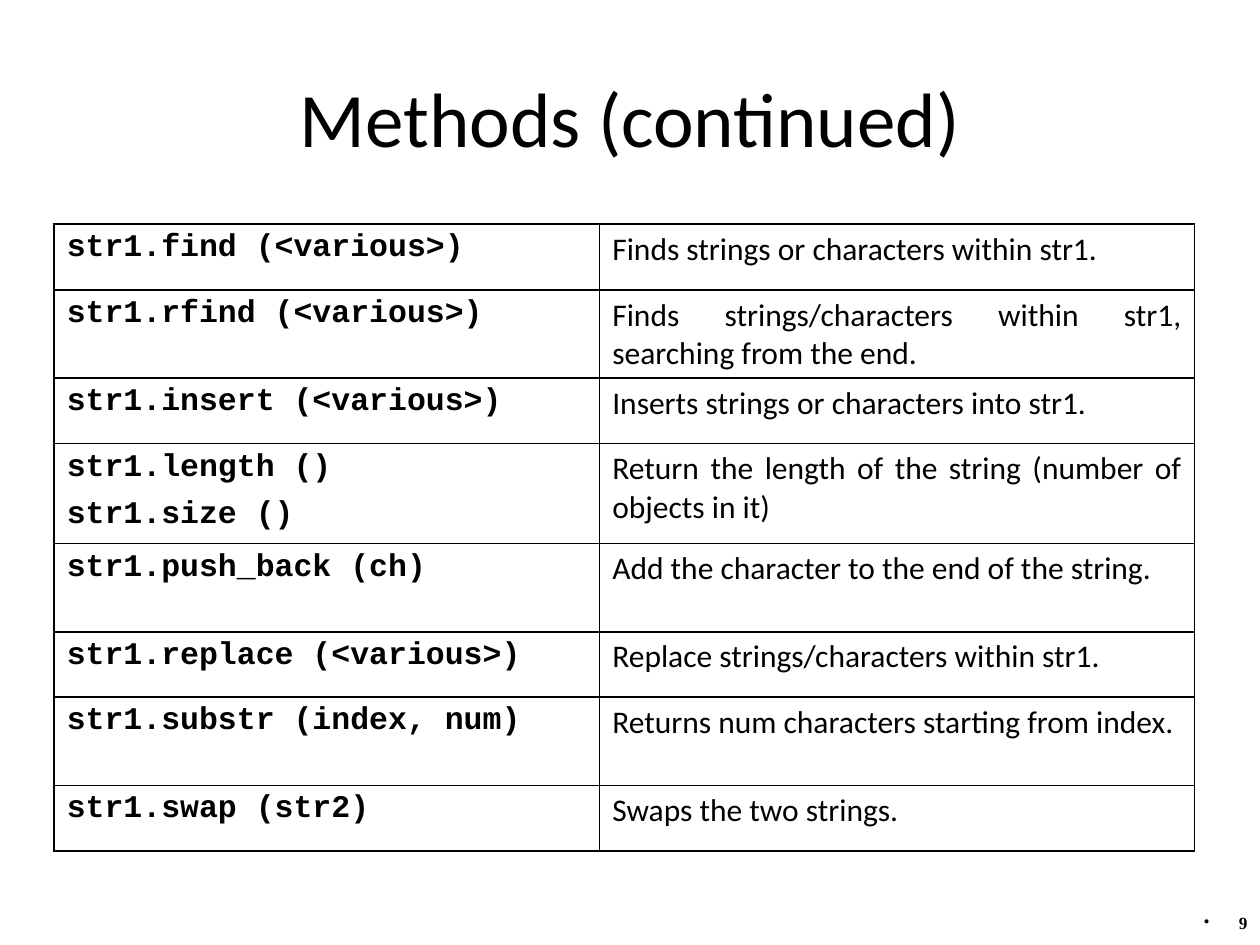
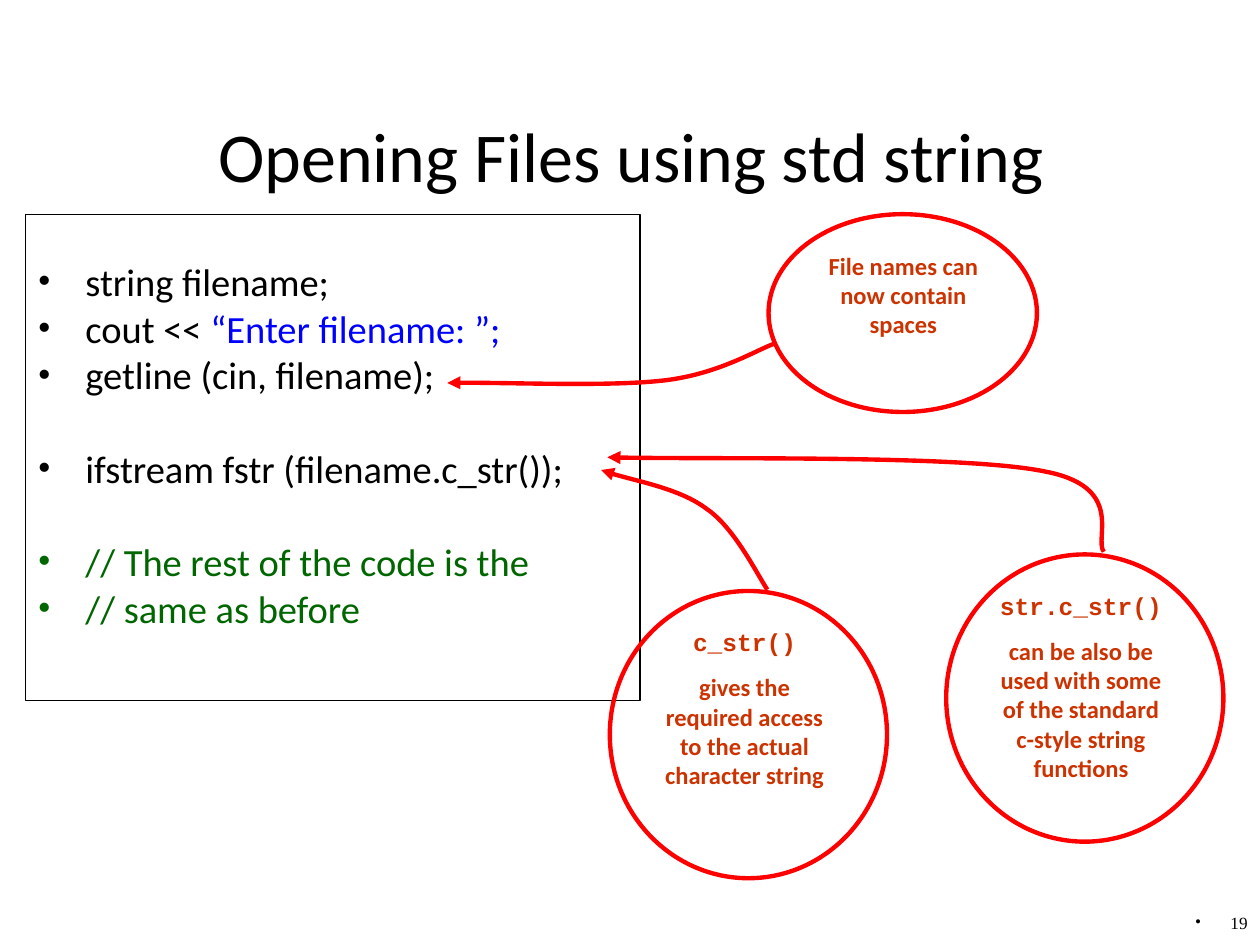
"""Build two slides on string methods and opening files."""
from dataclasses import dataclass

from lxml.etree import SubElement
from pptx import Presentation
from pptx.dml.color import RGBColor
from pptx.enum.shapes import MSO_SHAPE
from pptx.enum.text import MSO_ANCHOR, PP_ALIGN
from pptx.oxml.ns import qn
from pptx.util import Inches, Pt


@dataclass(frozen=True)
class Theme:
    """Colours, fonts and type sizes."""
    ink: str = "000000"
    blue: str = "0000FF"
    green: str = "006600"
    rust: str = "CC3300"
    red: str = "FF0000"
    sans: str = "Calibri"
    mono: str = "Courier New"
    serif: str = "Times New Roman"
    cell: float = 18
    code: float = 22
    note: float = 14
    foot: float = 9.8
    thin: float = 0.45
    rule: float = 1.08
    edge: float = 0.75
    bold: float = 2.5


T = Theme()

METHODS = [
    (["str1.find (<various>)"], "Finds strings or characters within str1.", 0.52),
    (["str1.rfind (<various>)"],
     "Finds strings/characters within str1, searching from the end.", 0.7),
    (["str1.insert (<various>)"], "Inserts strings or characters into str1.", 0.52),
    (["str1.length ()", "str1.size ()"],
     "Return the length of the string (number of objects in it)", 0.79),
    (["str1.push_back (ch)"], "Add the character to the end of the string.", 0.7),
    (["str1.replace (<various>)"], "Replace strings/characters within str1.", 0.52),
    (["str1.substr (index, num)"], "Returns num characters starting from index.", 0.7),
    (["str1.swap (str2)"], "Swaps the two strings.", 0.52),
]
COLS = [4.33, 4.72]

# Each line: runs of (text, colour), then whether a gap comes first.
CODE = [
    ([("string filename;", T.ink)], False),
    ([("cout << ", T.ink), ("“Enter filename: ”;", T.blue)], False),
    ([("getline (cin, filename);", T.ink)], False),
    ([("ifstream fstr (filename.c_str());", T.ink)], True),
    ([("// The rest of the code is the", T.green)], True),
    ([("// same as before", T.green)], False),
]

NOTES = [
    {"oval": (6.1, 1.7, 2.13, 1.57), "high": 1.04,
     "text": [("File names can now contain spaces", T.sans)],
     "curve": [(6.14, 2.73), (6, 2.78), (5.7, 2.97), (5.27, 3.02),
               (4.83, 3.07), (3.91, 3.03), (3.55, 3.04)]},
    {"oval": (4.84, 4.69, 2.2, 2.28), "high": 1.86,
     "text": [("c_str()", T.mono),
              ("gives the required access to the actual character string", T.sans)],
     "curve": [(6.09, 4.68), (6.01, 4.56), (5.83, 4.19), (5.61, 4.04),
               (5.4, 3.88), (4.95, 3.8), (4.77, 3.73)]},
    {"oval": (7.51, 4.4, 2.2, 2.28), "high": 1.86,
     "text": [("str.c_str()", T.mono),
              ("can be also be used with some of the standard c-style string functions",
               T.sans)],
     "curve": [(8.76, 4.38), (8.68, 4.27), (8.94, 3.86), (8.28, 3.74),
               (7.63, 3.61), (5.54, 3.65), (4.82, 3.63)]},
]


def style(para, face, size, hue=None, bold=False, align=None):
    font = para.font
    font.name, font.size, font.bold = face, Pt(size), bold
    if hue:
        font.color.rgb = RGBColor.from_string(hue)
    para.alignment = align


def lines(frame, count):
    while len(frame.paragraphs) < count:
        frame.add_paragraph()
    return frame.paragraphs


def bullet(para, hue, dent):
    props = para._p.get_or_add_pPr()
    props.set("marL", str(Inches(dent)))
    props.set("indent", str(-Inches(dent)))
    tint = SubElement(props, qn("a:buClr"))
    SubElement(tint, qn("a:srgbClr"), val=hue)
    SubElement(props, qn("a:buFont"), typeface=T.serif)
    SubElement(props, qn("a:buChar"), char="•")


def text_box(slide, at):
    frame = slide.shapes.add_textbox(*map(Inches, at)).text_frame
    frame.word_wrap = True
    return frame


def outline(shape, hue, width):
    shape.shadow.inherit = False
    shape.fill.background()
    shape.line.color.rgb = RGBColor.from_string(hue)
    shape.line.width = Pt(width)


def add_base(deck, title, at, size, page, left, bold):
    slide = deck.slides.add_slide(deck.slide_layouts[6])
    head = text_box(slide, at)
    head.vertical_anchor = MSO_ANCHOR.MIDDLE
    para = head.paragraphs[0]
    para.text = title
    style(para, T.sans, size, T.ink, align=PP_ALIGN.CENTER)
    para = text_box(slide, (left, 7.22, 10 - left, 0.28)).paragraphs[0]
    para.text = page
    style(para, T.serif, T.foot, T.ink, bold, PP_ALIGN.RIGHT)
    para.line_spacing = 0.8
    bullet(para, T.ink, 0.28)
    return slide


def fill_cell(cell, texts, face, bold, sides):
    for para, text in zip(lines(cell.text_frame, len(texts)), texts):
        para.text = text
        style(para, face, T.cell, T.ink, bold, PP_ALIGN.JUSTIFY)
        para.space_before, para.space_after = Pt(4.5), Pt(2.2)
    props = cell._tc.get_or_add_tcPr()
    for side, width in zip("LRTB", sides):
        line = SubElement(props, qn("a:ln" + side), w=str(Pt(width)))
        paint = SubElement(line, qn("a:solidFill"))
        SubElement(paint, qn("a:srgbClr"), val=T.ink)
    cell.fill.background()


def add_methods(slide):
    highs = [row[2] for row in METHODS]
    at = (0.43, 1.78, sum(COLS), sum(highs))
    table = slide.shapes.add_table(len(highs), len(COLS), *map(Inches, at)).table
    table.first_row = table.horz_banding = False
    for col, wide in zip(table.columns, COLS):
        col.width = Inches(wide)
    for row, (calls, about, high) in zip(table.rows, METHODS):
        row.height = Inches(high)
        left, right = row.cells
        fill_cell(left, calls, T.mono, True, (T.rule, T.thin, T.rule, T.rule))
        fill_cell(right, [about], T.sans, False, (T.thin, T.rule, T.rule, T.rule))


def add_code(slide):
    box = slide.shapes.add_shape(
        MSO_SHAPE.RECTANGLE, *map(Inches, (0.2, 1.7, 4.88, 3.86)))
    outline(box, T.ink, T.edge)
    frame = box.text_frame
    frame.word_wrap = True
    frame.vertical_anchor = MSO_ANCHOR.TOP
    frame.margin_top = Inches(0.42)
    for para, (runs, gap) in zip(lines(frame, len(CODE)), CODE):
        style(para, T.sans, T.code, align=PP_ALIGN.LEFT)
        para.line_spacing = 0.8
        para.space_before = Pt(32.2 if gap else 5.5)
        bullet(para, runs[0][1], 0.38)
        for text, hue in runs:
            run = para.add_run()
            run.text = text
            run.font.color.rgb = RGBColor.from_string(hue)


def add_curve(slide, points):
    spots = [(Inches(x), Inches(y)) for x, y in points]
    pen = slide.shapes.build_freeform(*spots[0])
    pen.add_line_segments(spots[1:], close=False)
    shape = pen.convert_to_shape()
    outline(shape, T.red, T.bold)
    steps = list(shape._element.iter(qn("a:lnTo")))
    route = steps[0].getparent()
    for first in range(0, len(steps), 3):
        bend = SubElement(route, qn("a:cubicBezTo"))
        for step in steps[first:first + 3]:
            bend.append(step[0])
            route.remove(step)
    SubElement(shape.line._get_or_add_ln(), qn("a:tailEnd"), type="triangle")


def add_note(slide, note):
    oval = slide.shapes.add_shape(MSO_SHAPE.OVAL, *map(Inches, note["oval"]))
    outline(oval, T.red, T.bold)
    add_curve(slide, note["curve"])
    left, top = note["oval"][:2]
    frame = text_box(slide, (left + 0.32, top + 0.24, 1.5, note["high"]))
    texts = note["text"]
    for para, (text, face) in zip(lines(frame, len(texts)), texts):
        para.text = text
        style(para, face, T.note, T.rust, True, PP_ALIGN.CENTER)
        para.space_before = Pt(8.8)


def main():
    deck = Presentation()
    deck.slide_width, deck.slide_height = Inches(10), Inches(7.5)
    slide = add_base(deck, "Methods (continued)", (0.5, 0.3, 9, 1.25),
                     44, "9", 9.36, True)
    add_methods(slide)
    slide = add_base(deck, "Opening Files using std string", (0.51, 0.84, 9, 0.77),
                     40, "19", 9.12, False)
    add_code(slide)
    for note in NOTES:
        add_note(slide, note)
    deck.save("out.pptx")


if __name__ == "__main__":
    main()
